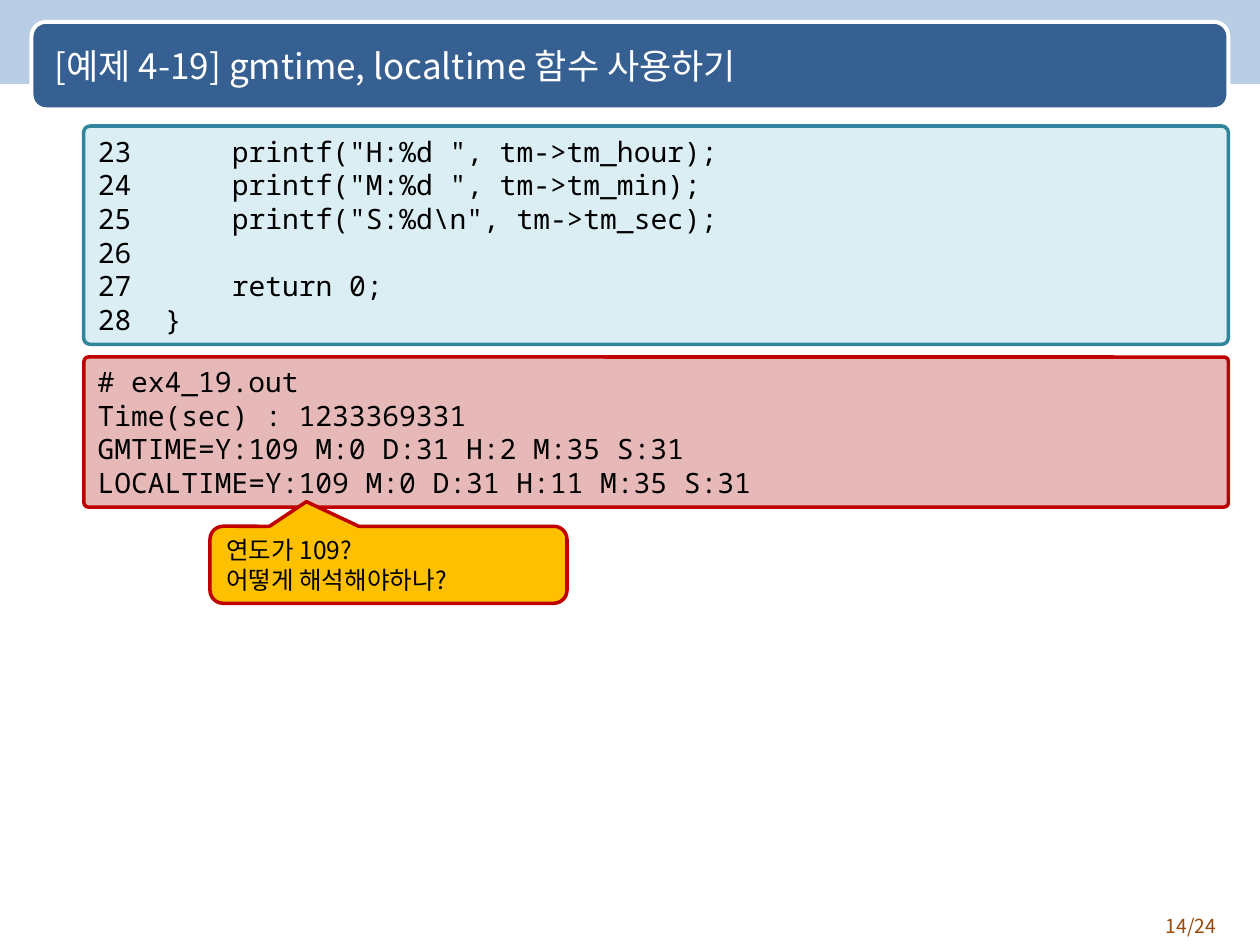
from dataclasses import dataclass

from lxml.etree import SubElement
from pptx import Presentation
from pptx.dml.color import RGBColor
from pptx.enum.shapes import MSO_SHAPE
from pptx.enum.text import MSO_ANCHOR, MSO_AUTO_SIZE, PP_ALIGN
from pptx.oxml.ns import qn
from pptx.util import Pt


@dataclass(frozen=True)
class Theme:
    sans: str = "Noto Sans CJK KR"
    mono: str = "Noto Sans Mono"
    band: str = "B9CDE5"
    bar: str = "376092"
    white: str = "FFFFFF"
    black: str = "000000"
    code: str = "DBEEF4"
    teal: str = "31859C"
    out: str = "E6B9B8"
    red: str = "C00000"
    gold: str = "FFC000"
    brown: str = "984807"
    head_size: float = 20
    code_size: float = 16
    note_size: float = 14
    page_size: float = 11


THEME = Theme()

CODE = r'''23      printf("H:%d ", tm->tm_hour);
24      printf("M:%d ", tm->tm_min);
25      printf("S:%d\n", tm->tm_sec);
26
27      return 0;
28  }'''

OUTPUT = """# ex4_19.out
Time(sec) : 1233369331
GMTIME=Y:109 M:0 D:31 H:2 M:35 S:31
LOCALTIME=Y:109 M:0 D:31 H:11 M:35 S:31"""

NOTE = "연도가 109?\n어떻게 해석해야하나?"


def place(shape, box):
    shape.left, shape.top, shape.width, shape.height = map(Pt, box)


def write(shape, text, font, size, color, align=PP_ALIGN.LEFT,
          anchor=MSO_ANCHOR.MIDDLE, fit=MSO_AUTO_SIZE.NONE):
    frame = shape.text_frame
    frame.text = text
    frame.word_wrap = True
    frame.auto_size = fit
    frame.vertical_anchor = anchor
    for para in frame.paragraphs:
        para.alignment = align
        for run in para.runs:
            run.font.name = font
            run.font.size = Pt(size)
            run.font.color.rgb = RGBColor.from_string(color)
            # Korean letters take the East Asian font
            SubElement(run.font._element, qn("a:ea"), typeface=font)


def block(slide, kind, box, fill, line=None, width=2, adjust=()):
    shape = slide.shapes.add_shape(kind, *map(Pt, box))
    shape.shadow.inherit = False
    shape.fill.solid()
    shape.fill.fore_color.rgb = RGBColor.from_string(fill)
    if line:
        shape.line.color.rgb = RGBColor.from_string(line)
        shape.line.width = Pt(width)
    else:
        shape.line.fill.background()
    for i, value in enumerate(adjust):
        shape.adjustments[i] = value
    return shape


def header(slide, box, text):
    left, top, width, height = box
    block(slide, MSO_SHAPE.RECTANGLE, (-0.5, 0, 721, 48), THEME.band)
    block(slide, MSO_SHAPE.ROUNDED_RECTANGLE, box, THEME.bar, THEME.white, 2.25)
    title = slide.shapes.title
    place(title, (left + 6, top + 1, width - 18, height - 2))
    write(title, text, THEME.sans, THEME.head_size, THEME.white)
    # Bring the title in front of its bar
    slide.shapes._spTree.append(title._element)


def listing(slide, box, text, fill, line):
    shape = block(slide, MSO_SHAPE.ROUNDED_RECTANGLE, box, fill, line,
                  adjust=(0.03,))
    write(shape, text, THEME.mono, THEME.code_size, THEME.black,
          PP_ALIGN.JUSTIFY, fit=MSO_AUTO_SIZE.SHAPE_TO_FIT_TEXT)


def callout(slide, box, text):
    shape = block(slide, MSO_SHAPE.ROUNDED_RECTANGULAR_CALLOUT, box, THEME.gold,
                  THEME.red, adjust=(-0.23, -0.82, 0.17))
    write(shape, text, THEME.sans, THEME.note_size, THEME.black,
          fit=MSO_AUTO_SIZE.SHAPE_TO_FIT_TEXT)


def footer(slide, box, text):
    shape = slide.shapes.add_textbox(*map(Pt, box))
    write(shape, text, THEME.sans, THEME.page_size, THEME.brown,
          PP_ALIGN.RIGHT, MSO_ANCHOR.TOP)


def main():
    deck = Presentation()
    deck.slide_width, deck.slide_height = Pt(720), Pt(540)
    slide = deck.slides.add_slide(deck.slide_layouts[5])

    header(slide, (18, 12.5, 684, 50),
           "[예제 4-19] gmtime, localtime 함수 사용하기")
    listing(slide, (47.75, 72, 654.25, 124.75), CODE, THEME.code, THEME.teal)
    listing(slide, (48, 204, 654, 85.75), OUTPUT, THEME.out, THEME.red)
    callout(slide, (120, 300.75, 204, 44), NOTE)
    footer(slide, (642, 519, 60, 21), "14/24")

    deck.save("out.pptx")


if __name__ == "__main__":
    main()
